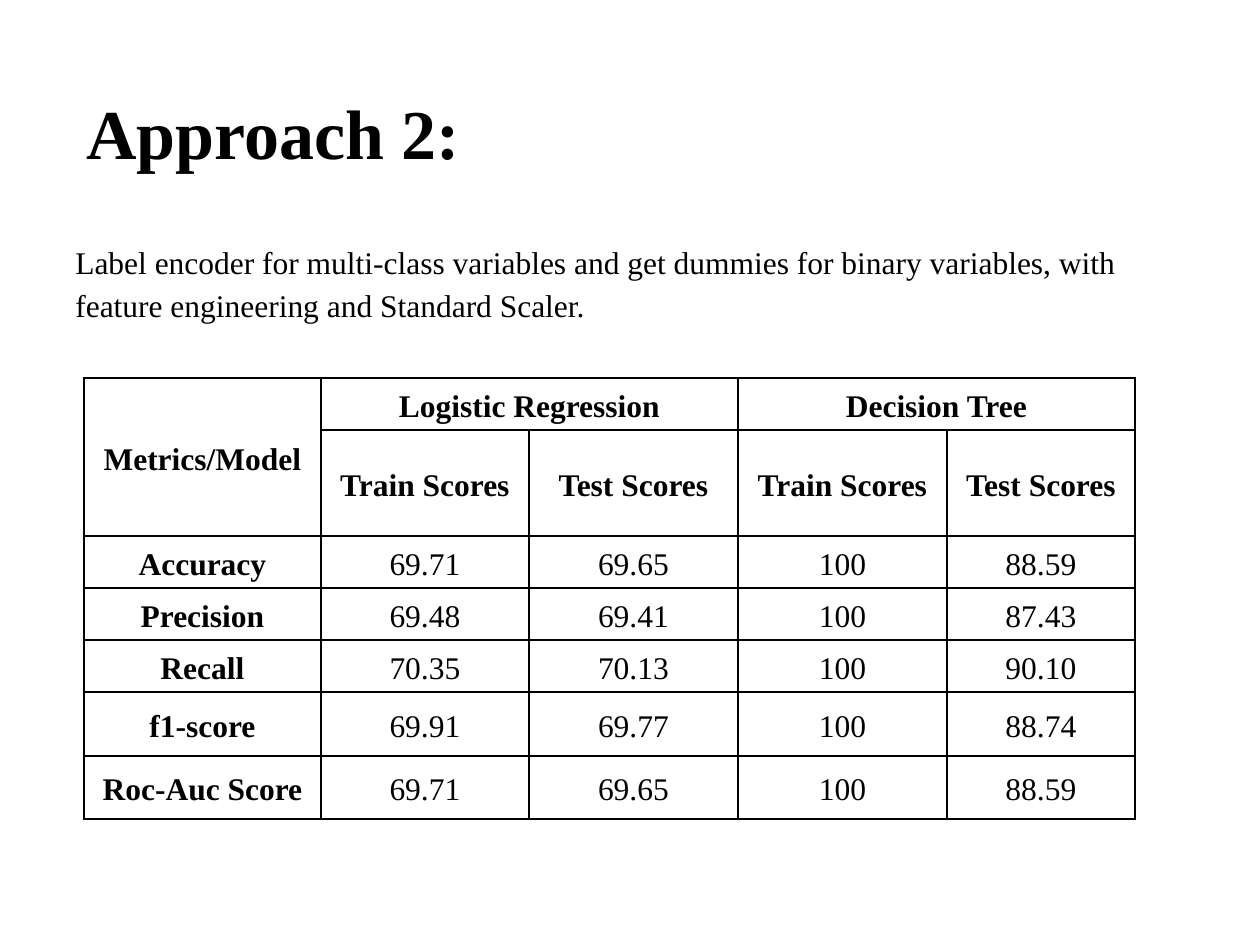
from lxml.etree import SubElement
from pptx import Presentation
from pptx.dml.color import RGBColor
from pptx.enum.text import MSO_ANCHOR, MSO_AUTO_SIZE, PP_ALIGN
from pptx.oxml.ns import qn
from pptx.util import Pt

SCALE = 914400 / 126
BLACK = RGBColor(0, 0, 0)
FONT = "Times New Roman"

COLS = [237, 208, 209, 209, 188]
ROWS = [52, 106, 52, 52, 52, 64, 63]
SCORES = ["Train Scores", "Test Scores"]
CELLS = [
    ["Metrics/Model", "Logistic Regression", "", "Decision Tree", ""],
    ["", *SCORES, *SCORES],
    ["Accuracy", "69.71", "69.65", "100", "88.59"],
    ["Precision", "69.48", "69.41", "100", "87.43"],
    ["Recall", "70.35", "70.13", "100", "90.10"],
    ["f1-score", "69.91", "69.77", "100", "88.74"],
    ["Roc-Auc Score", "69.71", "69.65", "100", "88.59"],
]
SPANS = [((0, 0), (1, 0)), ((0, 1), (0, 2)), ((0, 3), (0, 4))]


def px(num):
    return round(num * SCALE)


def write(frame, text, size=18, bold=False, align=PP_ALIGN.LEFT, line=None, after=None):
    para = frame.paragraphs[0]
    para.alignment = align
    if line is not None:
        para.line_spacing = line
    if after is not None:
        para.space_after = Pt(after)
    run = para.add_run()
    run.text = text
    font = run.font
    font.name, font.size, font.bold = FONT, Pt(size), bold
    font.color.rgb = BLACK


class Deck:
    def __init__(self):
        self.prs = Presentation()
        self.prs.slide_width, self.prs.slide_height = px(1260), px(945)
        self.slide = self.prs.slides.add_slide(self.prs.slide_layouts[5])

    def title(self, text, x, y, w, h):
        shape = self.slide.shapes.title
        shape.left, shape.top, shape.width, shape.height = map(px, (x, y, w, h))
        frame = shape.text_frame
        frame.vertical_anchor = MSO_ANCHOR.MIDDLE
        write(frame, text, size=40, bold=True, align=PP_ALIGN.CENTER)

    def text(self, text, x, y, w, h):
        frame = self.slide.shapes.add_textbox(*map(px, (x, y, w, h))).text_frame
        frame.word_wrap = True
        frame.auto_size = MSO_AUTO_SIZE.SHAPE_TO_FIT_TEXT
        write(frame, text, line=1.15, after=10)

    def edge(self, cell):
        props = cell._tc.get_or_add_tcPr()
        for side in ("a:lnL", "a:lnR", "a:lnT", "a:lnB"):
            line = SubElement(props, qn(side), w=str(Pt(1)))
            fill = SubElement(line, qn("a:solidFill"))
            SubElement(fill, qn("a:srgbClr"), val=str(BLACK))

    def table(self, cells, cols, rows, spans, x, y):
        size = map(px, (x, y, sum(cols), sum(rows)))
        grid = self.slide.shapes.add_table(len(rows), len(cols), *size).table
        grid.first_row = grid.horz_banding = False
        for col, width in zip(grid.columns, cols):
            col.width = px(width)
        for row, height in zip(grid.rows, rows):
            row.height = px(height)
        for r, row in enumerate(cells):
            for c, text in enumerate(row):
                cell = grid.cell(r, c)
                self.edge(cell)
                cell.fill.background()
                cell.vertical_anchor = MSO_ANCHOR.MIDDLE
                cell.margin_left = cell.margin_right = px(9)
                cell.margin_top = cell.margin_bottom = 0
                if text:
                    write(cell.text_frame, text, bold=r < 2 or c == 0,
                          align=PP_ALIGN.CENTER, line=1.15)
        for start, end in spans:
            grid.cell(*start).merge(grid.cell(*end))

    def save(self):
        self.prs.save("out.pptx")


def main():
    deck = Deck()
    deck.title("Approach 2:", 42, 53, 462, 158)
    deck.text("Label encoder for multi-class variables and get dummies for binary "
              "variables, with feature engineering and Standard Scaler.",
              63, 231, 1144, 98)
    deck.table(CELLS, COLS, ROWS, SPANS, 84, 378)
    deck.save()


if __name__ == "__main__":
    main()
